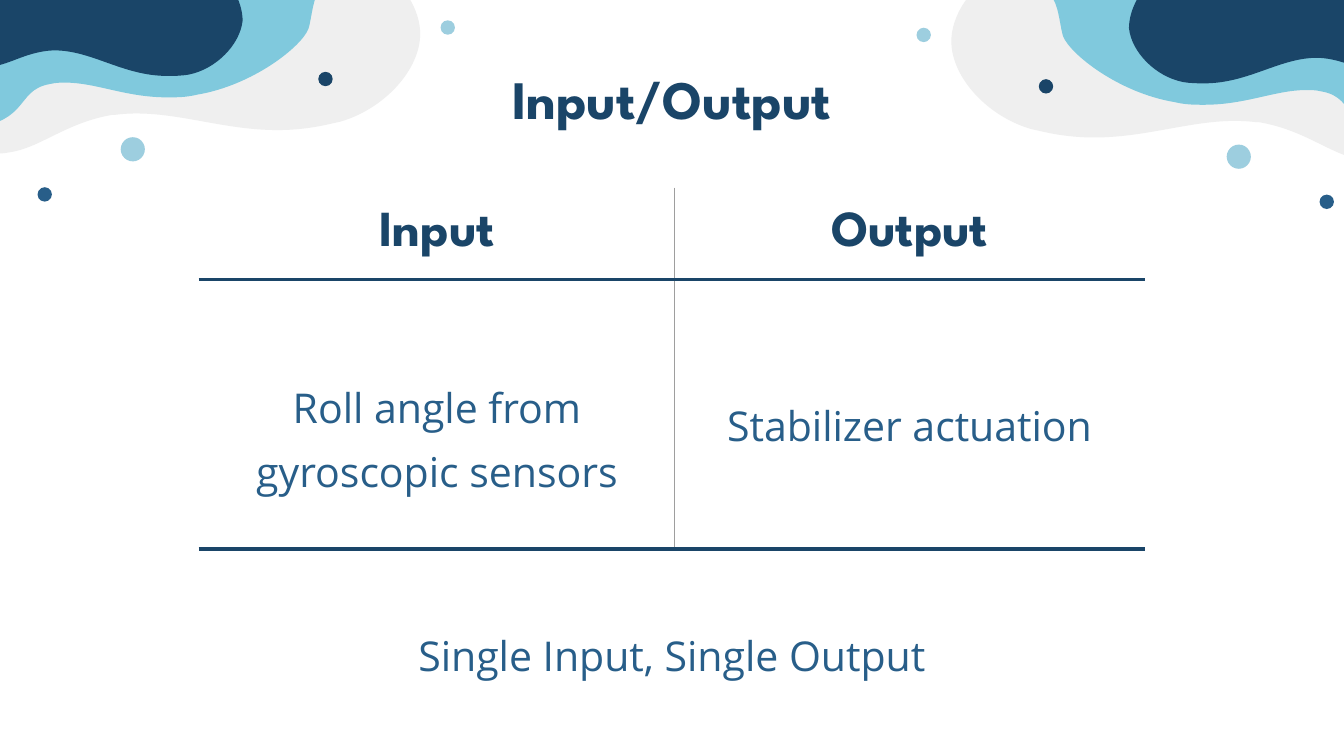
"""Build the Input/Output slide with mirrored wave corners and a two-column table."""
import lxml.etree
import pptx
import pptx.dml.color
import pptx.enum.shapes
import pptx.enum.text
import pptx.oxml
import pptx.oxml.ns
import pptx.util

Pt = pptx.util.Pt
RGBColor = pptx.dml.color.RGBColor
ANCHOR = pptx.enum.text.MSO_ANCHOR
qn = pptx.oxml.ns.qn

NAVY = RGBColor(0x1A, 0x45, 0x68)
BLUE = RGBColor(0x28, 0x5E, 0x89)
CYAN = RGBColor(0x80, 0xC9, 0xDD)
PALE = RGBColor(0x9D, 0xCE, 0xDF)
GRAY = RGBColor(0xEF, 0xEF, 0xEF)
RULE = RGBColor(0x9E, 0x9E, 0x9E)

UNIT = 0.72
MIRROR_X, MIRROR_DY = 1020.5, -5.5

GRAY_WAVE = [
    (793, 101), (784, 100), (776, 98), (767, 96), (733, 86), (706, 55), (708, 28),
    (709, 10), (724, -16), (755, -25), (767, -29), (777, -30), (786, -28),
    (793, -27), (800, -26), (808, -23), (891, 0), (975, 27), (1061, 38),
    (1069, 39), (1077, 40), (1085, 41), (1079, 54), (1076, 68), (1069, 81),
    (1063, 95), (1048, 115), (1028, 119), (1023, 120), (1019, 120), (1014, 119),
    (991, 116), (972, 97), (937, 91), (936, 91), (935, 91), (935, 91),
    (889, 85), (847, 108), (793, 101)]
CYAN_WAVE = [
    (922, -11), (879, -11), (835, -8), (784, 0), (788, 7), (789, 21), (791, 27),
    (796, 40), (832, 69), (874, 76), (882, 78), (889, 78), (896, 78),
    (927, 78), (949, 67), (972, 67), (975, 67), (979, 67), (983, 68),
    (1012, 73), (994, 100), (1059, 103), (1051, 68), (1053, 32), (1055, -3),
    (1006, -8), (964, -11), (922, -11)]
NAVY_WAVE = [
    (896, 62), (891, 62), (886, 62), (880, 61), (860, 57), (842, 39), (840, 21),
    (840, 9), (847, -9), (864, -18), (871, -22), (877, -23), (882, -23),
    (887, -23), (891, -22), (896, -22), (947, -13), (998, -3), (1050, -3),
    (1055, -3), (1060, -3), (1065, -3), (1062, 6), (1062, 16), (1059, 25),
    (1056, 34), (1048, 49), (1037, 53), (1034, 54), (1031, 55), (1029, 55),
    (1015, 55), (1002, 44), (981, 43), (981, 43), (980, 43), (980, 43),
    (952, 43), (929, 62), (896, 62)]
DOTS = [(921.7, 116.6, 18, PALE), (987.2, 150.2, 10.7, BLUE),
        (687.3, 26, 10.7, PALE), (778.3, 64.3, 10.7, NAVY)]


def write(tf, text, size, color, font="Open Sans", bold=False, spacing=None):
    tf.word_wrap = True
    p = tf.paragraphs[0]
    p.alignment = pptx.enum.text.PP_ALIGN.CENTER
    p.line_spacing = spacing
    r = p.add_run()
    r.text = text
    r.font.name = font
    r.font.size = Pt(size)
    r.font.bold = bold
    r.font.color.rgb = color


def paint(sp, color):
    sp.shadow.inherit = False
    sp.fill.solid()
    sp.fill.fore_color.rgb = color
    sp.line.fill.background()


prs = pptx.Presentation()
prs.slide_width, prs.slide_height = Pt(720), Pt(405)
s = prs.slides.add_slide(prs.slide_layouts[6])

for mirrored in (False, True):
    sign, dx, dy = (-1, MIRROR_X, MIRROR_DY) if mirrored else (1, 0, 0)
    for wave, color in ((GRAY_WAVE, GRAY), (CYAN_WAVE, CYAN), (NAVY_WAVE, NAVY)):
        points = [(Pt((dx + sign * x) * UNIT), Pt((dy + y) * UNIT)) for x, y in wave]
        fb = s.shapes.build_freeform(*points[0])
        fb.add_line_segments(points[1:], close=True)
        sp = fb.convert_to_shape()
        paint(sp, color)
        segments = list(sp._element.iter(qn("a:lnTo")))[:len(points) - 1]
        for i in range(0, len(segments), 3):
            curve = lxml.etree.Element(qn("a:cubicBezTo"))
            segments[i].addprevious(curve)
            for segment in segments[i:i + 3]:
                curve.append(segment[0])
                segment.getparent().remove(segment)
    for x, y, size, color in DOTS:
        left, top = dx + sign * x - size / 2, dy + y - size / 2
        sp = s.shapes.add_shape(pptx.enum.shapes.MSO_SHAPE.OVAL, Pt(left * UNIT), Pt(top * UNIT),
                                Pt(size * UNIT), Pt(size * UNIT))
        paint(sp, color)

heading = dict(color=NAVY, font="League Spartan", bold=True)
body = dict(size=22, color=BLUE, spacing=1.15)

title = s.shapes.add_textbox(Pt(209), Pt(28.6), Pt(302), Pt(45.4))
title.text_frame.margin_top = Pt(6.3)
write(title.text_frame, "Input/Output", size=29, **heading)

table = s.shapes.add_table(2, 2, Pt(106.8), Pt(101), Pt(506.4), Pt(193)).table
table.first_row = table.horz_banding = False
table.columns[0].width, table.columns[1].width = Pt(254.6), Pt(251.8)
table.rows[0].height, table.rows[1].height = Pt(48.8), Pt(144.2)
CELLS = [[("Input", 7.2), ("Output", 7.2)],
         [("Roll angle from gyroscopic sensors", 49), ("Stabilizer actuation", 59)]]
for row, entries in enumerate(CELLS):
    for col, (text, margin) in enumerate(entries):
        cell = table.cell(row, col)
        cell.margin_left = cell.margin_right = cell.margin_bottom = Pt(7.2)
        cell.margin_top = Pt(margin)
        cell.vertical_anchor = ANCHOR.TOP if row else ANCHOR.MIDDLE
        cell.fill.background()
        write(cell.text_frame, text, **(body if row else dict(heading, size=27)))
        borders = [("lnL", RULE, 0.75) if col else ("lnR", RULE, 0.75)]
        if row:
            borders.append(("lnT", NAVY, 2.25))
        borders.append(("lnB", NAVY, 2.25))
        tcPr = cell._tc.get_or_add_tcPr()
        for i, (tag, color, width) in enumerate(borders):
            tcPr.insert(i, pptx.oxml.parse_xml(
                f'<a:{tag} {pptx.oxml.ns.nsdecls("a")} w="{Pt(width)}"><a:solidFill>'
                f'<a:srgbClr val="{color}"/></a:solidFill></a:{tag}>'))

summary = s.shapes.add_textbox(Pt(184), Pt(322.6), Pt(352), Pt(41))
summary.text_frame.margin_top = Pt(11.2)
write(summary.text_frame, "Single Input, Single Output", **body)

prs.save("out.pptx")
